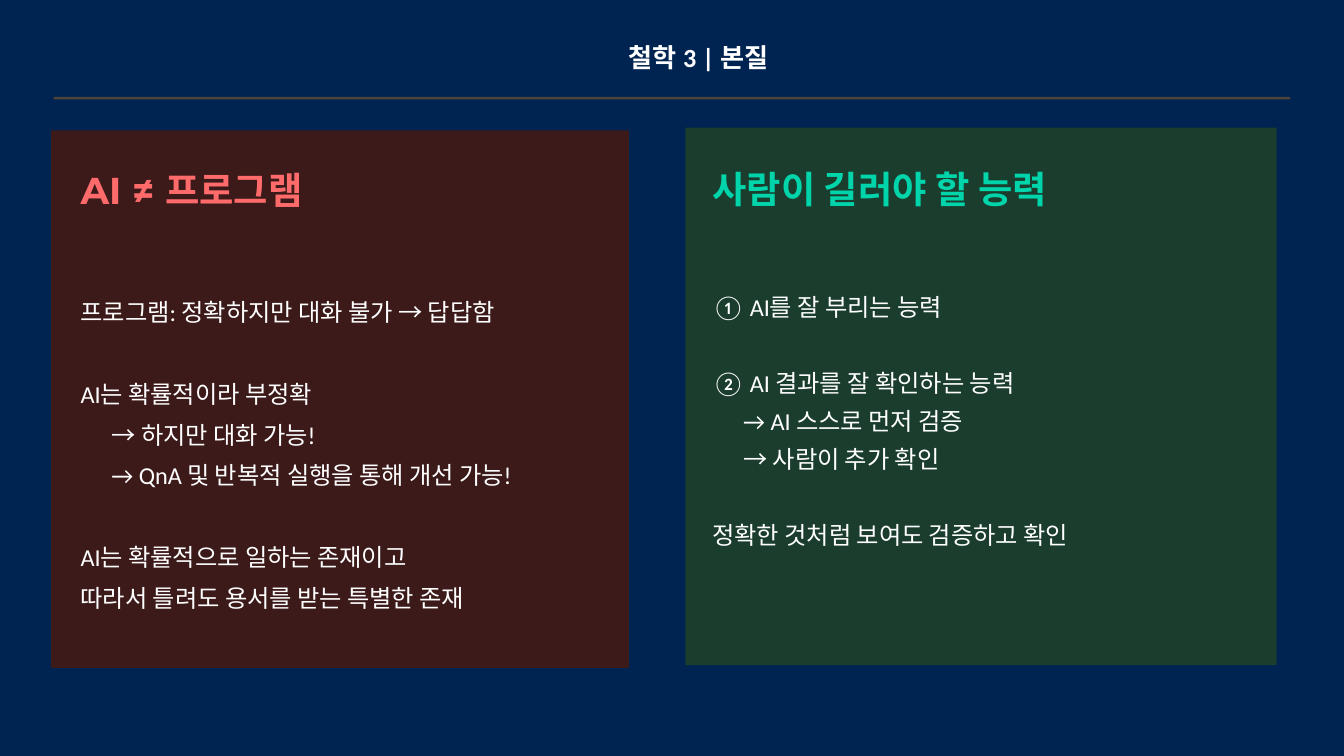
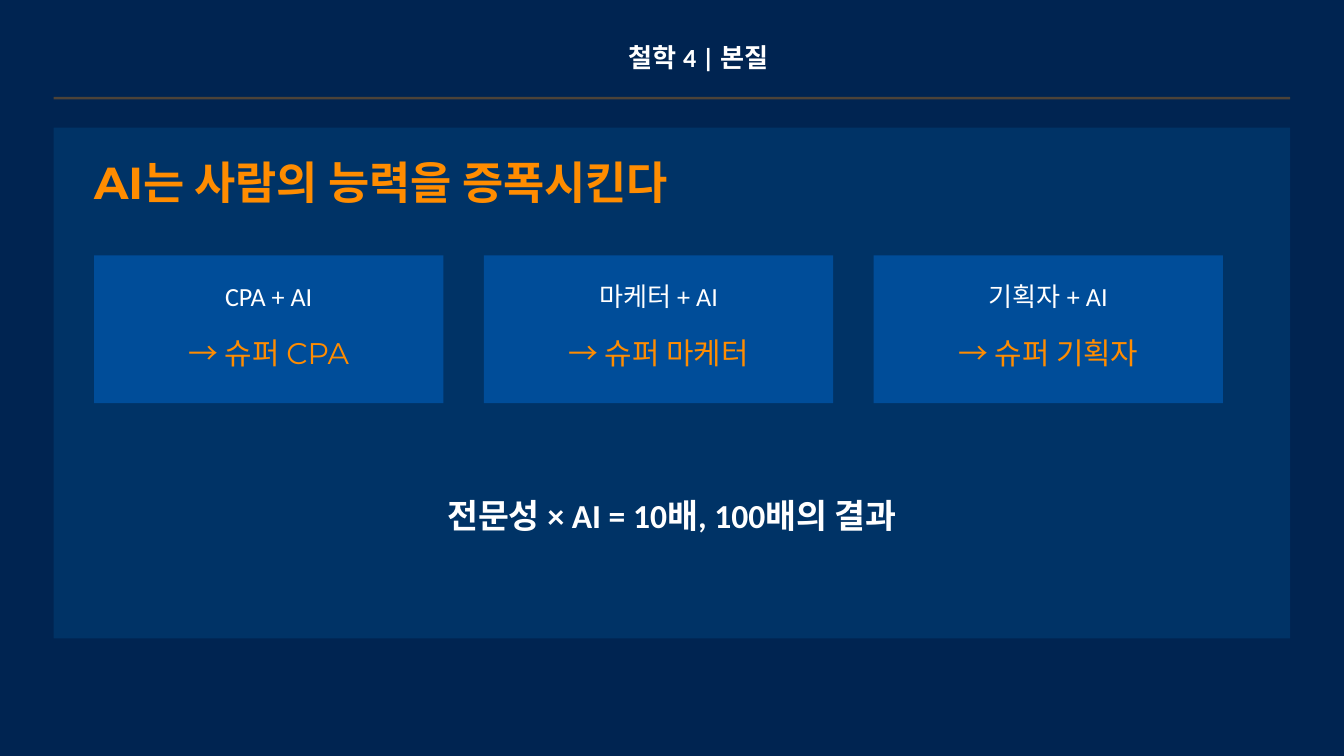
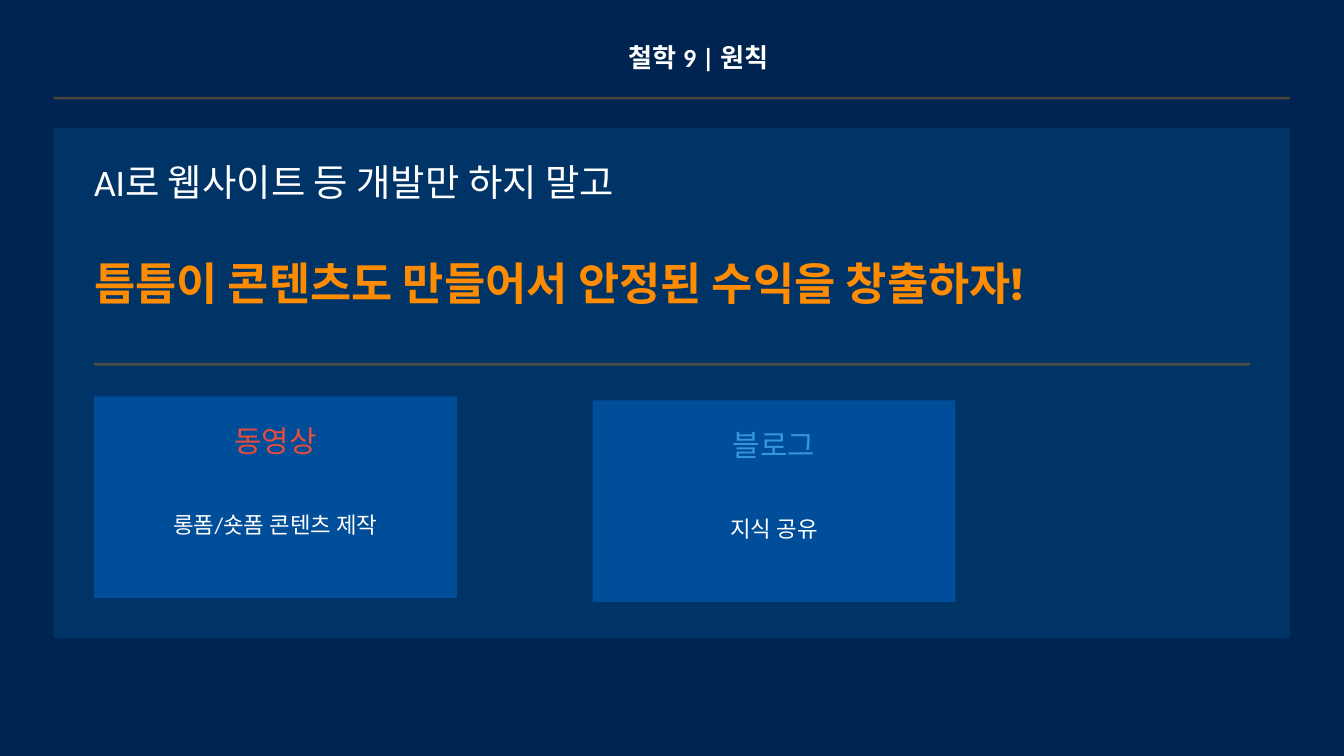
from lxml import etree
from pptx import Presentation
from pptx.dml.color import RGBColor
from pptx.enum.shapes import MSO_SHAPE
from pptx.enum.text import MSO_ANCHOR, PP_ALIGN
from pptx.oxml.ns import qn
from pptx.util import Inches, Pt

# Grid: 100 columns by 56.25 rows of square cells; boxes are (col, row, cols, rows)
COLS, ROWS = 100, 56.25
CELL = Inches(10) / COLS

# Shared look
NAVY, PANEL, CARD = "002451", "003366", "004D99"
WHITE, ORANGE = "FFFFFF", "FF8C00"
BODY, HEAD = "Calibri", "Montserrat"
MAIN_PANEL = (4, 9.5, 92, 38)
INNER_LEFT, INNER_WIDTH = 7, 86
BULLET_INDENT = 2.3


def color(hex_code):
    return RGBColor.from_string(hex_code)


def cells(*values):
    return [round(value * CELL) for value in values]


def add_block(slide, box, fill, alpha=None):
    """Plain rectangle; alpha is the opacity in percent."""
    block = slide.shapes.add_shape(MSO_SHAPE.RECTANGLE, *cells(*box))
    block.shadow.inherit = False
    block.fill.solid()
    block.fill.fore_color.rgb = color(fill)
    block.line.fill.background()
    if alpha is not None:
        tint = block.fill._xPr.find(".//" + qn("a:srgbClr"))
        etree.SubElement(tint, qn("a:alpha")).set("val", str(alpha * 1000))


def add_rule(slide, col, row, cols):
    add_block(slide, (col, row, cols, 0.2), ORANGE, alpha=30)


def add_text(slide, box, groups, size, font=BODY, fill=WHITE, bold=False,
             align=PP_ALIGN.LEFT, spacing=None, gap=0):
    """Groups of lines, gap points apart; lines that start with an arrow are indented."""
    if isinstance(groups, str):
        groups = [[groups]]
    frame = slide.shapes.add_textbox(*cells(*box)).text_frame
    frame.word_wrap = True
    frame.vertical_anchor = MSO_ANCHOR.MIDDLE
    frame.margin_left = frame.margin_right = frame.margin_top = frame.margin_bottom = 0
    paragraph = frame.paragraphs[0]
    for g, group in enumerate(groups):
        for n, line in enumerate(group):
            if g or n:
                paragraph = frame.add_paragraph()
            paragraph.alignment = align
            if spacing:
                paragraph.line_spacing = spacing
            if g and not n:
                paragraph.space_before = Pt(gap)
            if n and line.startswith("→"):
                paragraph._p.get_or_add_pPr().set("marL", str(cells(BULLET_INDENT)[0]))
            run = paragraph.add_run()
            run.text = line
            run.font.size = Pt(size)
            run.font.name = font
            run.font.bold = bold
            run.font.color.rgb = color(fill)


def add_centered(slide, box, text, size, **style):
    add_text(slide, box, text, size, align=PP_ALIGN.CENTER, **style)


def add_heading(slide, box, text, size, fill=ORANGE):
    add_text(slide, box, text, size, font=HEAD, fill=fill, bold=True)


def new_slide(deck, title):
    slide = deck.slides.add_slide(deck.slide_layouts[6])
    slide.background.fill.solid()
    slide.background.fill.fore_color.rgb = color(NAVY)
    add_centered(slide, (9.5, 2, 85, 4.5), title, 14, bold=True)
    add_rule(slide, 4, 7.2, 92)
    return slide


# Slide: what AI is, and what people need
def nature_slide(deck):
    slide = new_slide(deck, "철학 3 | 본질")

    add_block(slide, (3.8, 9.7, 43, 40), "3D1A1A")
    add_heading(slide, (6, 12.1, 39, 4), "AI ≠ 프로그램", 20, "FF6B6B")
    add_text(slide, (6, 19.5, 39, 27.8), [
        ["프로그램: 정확하지만 대화 불가 → 답답함"],
        ["AI는 확률적이라 부정확",
         "→ 하지만 대화 가능!",
         "→ QnA 및 반복적 실행을 통해 개선 가능!"],
        ["AI는 확률적으로 일하는 존재이고",
         "따라서 틀려도 용서를 받는 특별한 존재"],
    ], 13, spacing=1.4, gap=22)

    add_block(slide, (51, 9.5, 44, 40), "1A3D2E")
    add_heading(slide, (53, 12, 40, 4), "사람이 길러야 할 능력", 20, "00D4AA")
    add_text(slide, (53, 16, 40, 30), [
        ["① AI를 잘 부리는 능력"],
        ["② AI 결과를 잘 확인하는 능력",
         "→ AI 스스로 먼저 검증",
         "→ 사람이 추가 확인"],
        ["정확한 것처럼 보여도 검증하고 확인"],
    ], 13, spacing=1.3, gap=20.5)


# Slide: AI multiplies skill
def amplify_slide(deck):
    slide = new_slide(deck, "철학 4 | 본질")
    add_block(slide, MAIN_PANEL, PANEL)
    add_heading(slide, (INNER_LEFT, 11, INNER_WIDTH, 5), "AI는 사람의 능력을 증폭시킨다", 24)
    width, gutter = 26, 3
    for i, role in enumerate(["CPA", "마케터", "기획자"]):
        left = INNER_LEFT + i * (width + gutter)
        add_block(slide, (left, 19, width, 11), CARD)
        add_centered(slide, (left + 1, 20, width - 2, 4), f"{role} + AI", 14)
        add_centered(slide, (left + 1, 24, width - 2, 4.5), f"→ 슈퍼 {role}", 16,
                     font=HEAD, fill=ORANGE)
    add_centered(slide, (INNER_LEFT, 35.8, INNER_WIDTH, 5),
                 "전문성 × AI = 10배, 100배의 결과", 18, bold=True)


# Slide: content as steady income
def content_slide(deck):
    slide = new_slide(deck, "철학 9 | 원칙")
    add_block(slide, MAIN_PANEL, PANEL)
    add_text(slide, (INNER_LEFT, 11.5, INNER_WIDTH, 4), "AI로 웹사이트 등 개발만 하지 말고", 20)
    add_heading(slide, (INNER_LEFT, 16.5, INNER_WIDTH, 9),
                "틈틈이 콘텐츠도 만들어서 안정된 수익을 창출하자!", 24)
    add_rule(slide, INNER_LEFT, 27, INNER_WIDTH)
    channels = [
        (INNER_LEFT, 29.5, "동영상", "E74C3C", "롱폼/숏폼 콘텐츠 제작"),
        (44.1, 29.8, "블로그", "3498DB", "지식 공유"),
    ]
    width = 27
    for left, top, name, tint, detail in channels:
        add_block(slide, (left, top, width, 15), CARD)
        add_centered(slide, (left, top + 1, width, 4.5), name, 16, font=HEAD, fill=tint)
        add_centered(slide, (left, top + 6, width, 7), detail, 12)


def main():
    deck = Presentation()
    deck.slide_width, deck.slide_height = cells(COLS, ROWS)
    nature_slide(deck)
    amplify_slide(deck)
    content_slide(deck)
    deck.save("out.pptx")


main()
